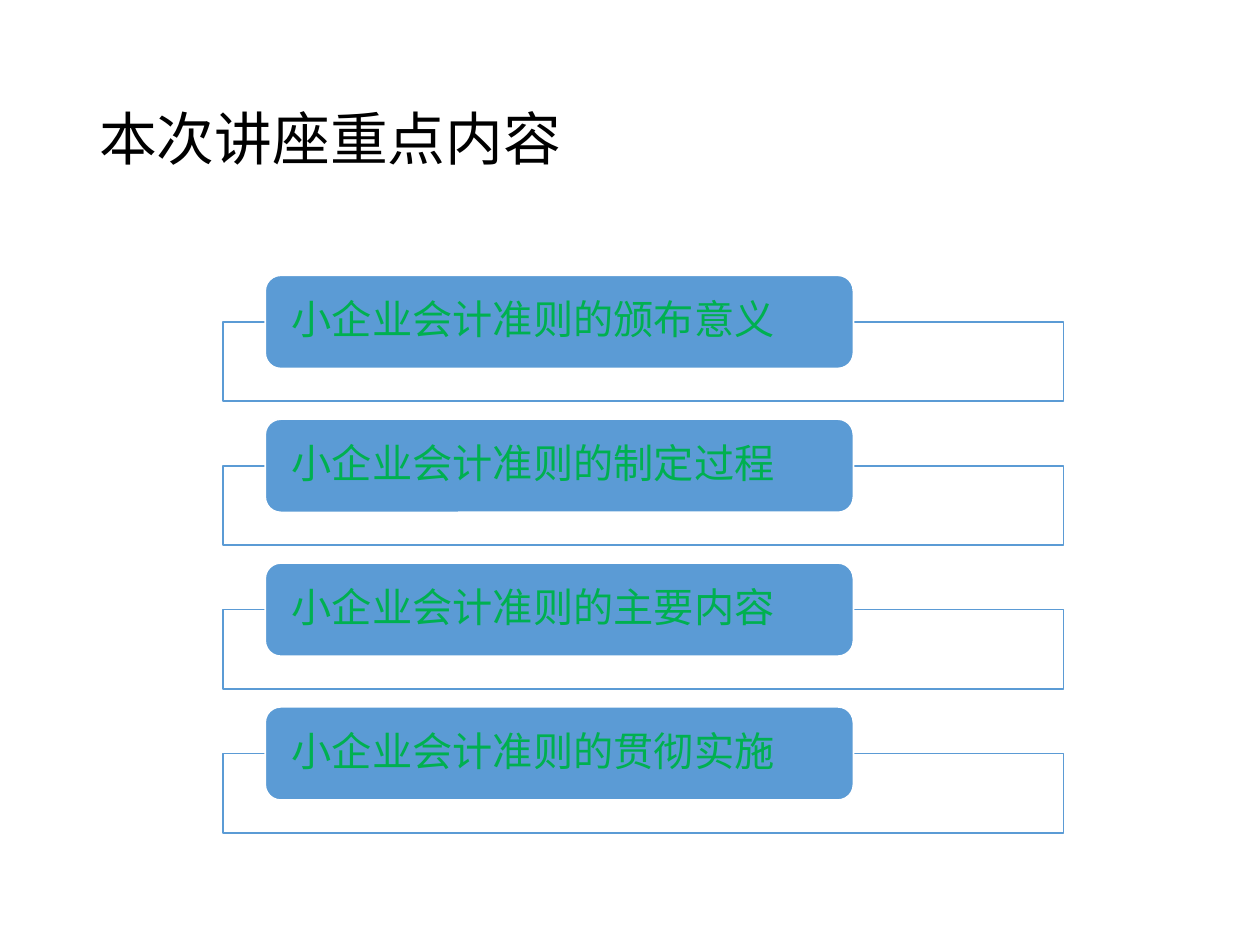
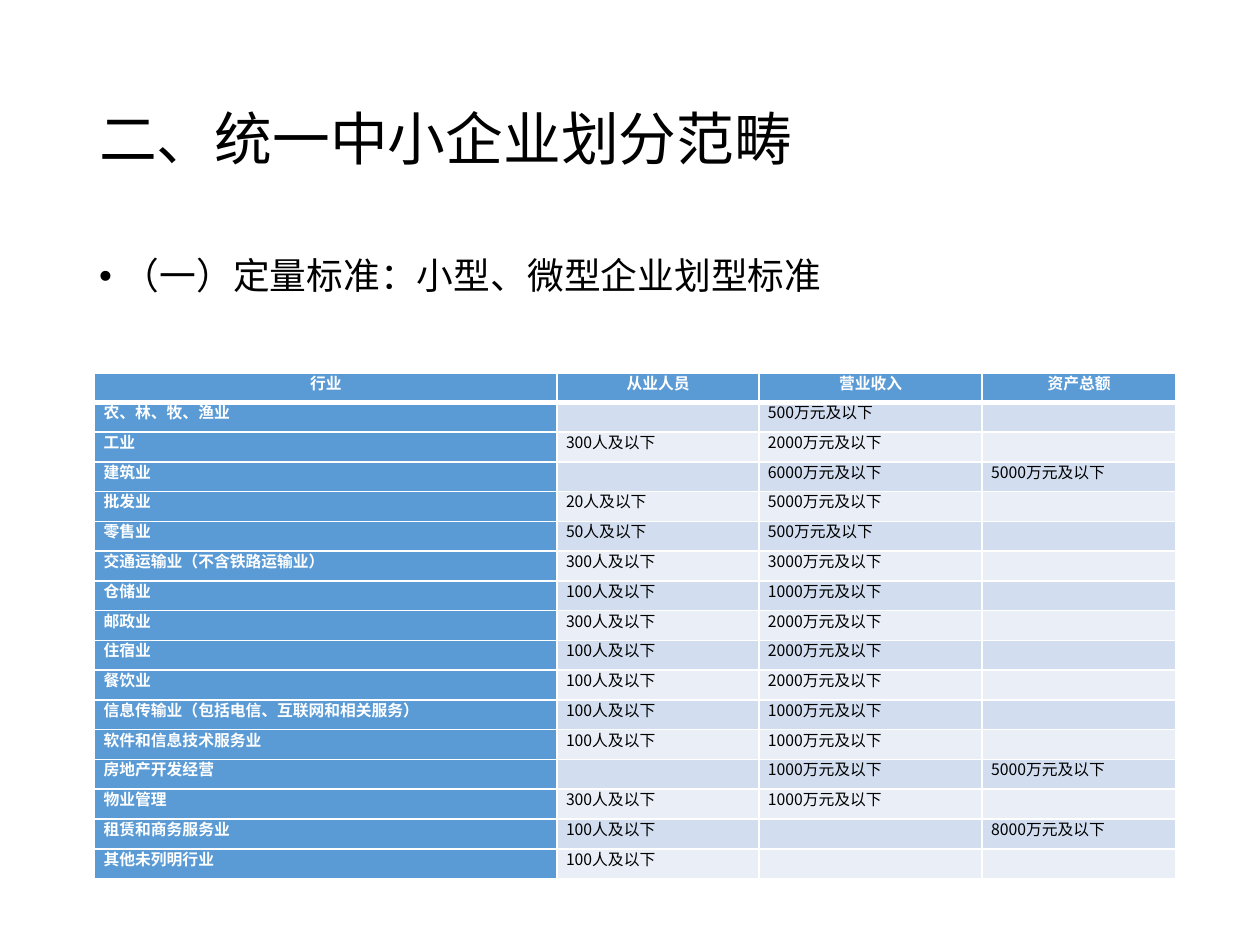
from lxml import etree
from pptx import Presentation
from pptx.dml.color import RGBColor
from pptx.enum.shapes import MSO_SHAPE
from pptx.enum.text import MSO_ANCHOR, PP_ALIGN
from pptx.oxml.ns import qn
from pptx.util import Cm, Pt

RECTANGLE = MSO_SHAPE.RECTANGLE
ROUNDED = MSO_SHAPE.ROUNDED_RECTANGLE
TOP, MIDDLE = MSO_ANCHOR.TOP, MSO_ANCHOR.MIDDLE
LEFT, CENTER = PP_ALIGN.LEFT, PP_ALIGN.CENTER

COLORS = {
    "text": "000000",
    "white": "FFFFFF",
    "blue": "5B9BD5",
    "green": "00B050",
    "band_dark": "D2DEEF",
    "band_light": "EAEFF7",
}
TITLE_FONT, BODY_FONT, CHINESE_FONT = "Calibri", "Cambria", "Noto Sans CJK SC"

# Boxes in cm: left, top, width, height
TITLE_BOX = (1.75, 1.02, 21.9, 3.68)
BODY_BOX = (1.75, 5.08, 21.9, 2.5)
TOPICS_BOX = (4.5, 5.55, 16.94, 11.24)
TABLE_BOX = (1.91, 7.52, 21.8, 10.2)

TOPICS = ["颁布意义", "制定过程", "主要内容", "贯彻实施"]

COLUMN_WIDTHS = [9.32, 4.07, 4.5, 3.91]
HEADER_HEIGHT = 0.59
HEADERS = ["行业", "从业人员", "营业收入", "资产总额"]
# Industry, employees (人), revenue (万元), assets (万元)
STANDARDS = [
    ("农、林、牧、渔业", None, 500, None),
    ("工业", 300, 2000, None),
    ("建筑业", None, 6000, 5000),
    ("批发业", 20, 5000, None),
    ("零售业", 50, 500, None),
    ("交通运输业（不含铁路运输业）", 300, 3000, None),
    ("仓储业", 100, 1000, None),
    ("邮政业", 300, 2000, None),
    ("住宿业", 100, 2000, None),
    ("餐饮业", 100, 2000, None),
    ("信息传输业（包括电信、互联网和相关服务）", 100, 1000, None),
    ("软件和信息技术服务业", 100, 1000, None),
    ("房地产开发经营", None, 1000, 5000),
    ("物业管理", 300, 1000, None),
    ("租赁和商务服务业", 100, None, 8000),
    ("其他未列明行业", 100, None, None),
]
UNITS = ["人", "万元", "万元"]


def rgb(name):
    return RGBColor.from_string(COLORS[name])


def write_text(frame, text, size, font=BODY_FONT, color="text", bold=False,
               align=LEFT, anchor=TOP, spacing=0.9):
    """Fill a text frame with one formatted paragraph and return it."""
    frame.word_wrap = True
    frame.vertical_anchor = anchor
    paragraph = frame.paragraphs[0]
    paragraph.alignment = align
    paragraph.line_spacing = spacing
    if text:
        run = paragraph.add_run()
        run.text = text
        run.font.size = Pt(size)
        run.font.name = font
        run.font.bold = bold
        run.font.color.rgb = rgb(color)
        properties = run._r.get_or_add_rPr()
        etree.SubElement(properties, qn("a:ea"), typeface=CHINESE_FONT)
    else:
        # An empty cell needs a small size too, or its row grows
        etree.SubElement(paragraph._p, qn("a:endParaRPr"), sz=str(size * 100))
    return paragraph


def add_box(slide, preset, box, fill, line):
    shape = slide.shapes.add_shape(preset, *map(Cm, box))
    shape.shadow.inherit = False
    shape.fill.solid()
    shape.fill.fore_color.rgb = rgb(fill)
    shape.line.color.rgb = rgb(line)
    shape.line.width = Pt(1)
    return shape


def add_title(slide, box, text):
    frame = slide.shapes.add_textbox(*map(Cm, box)).text_frame
    write_text(frame, text, 33, font=TITLE_FONT, anchor=MIDDLE)


def add_bullet(slide, box, text):
    frame = slide.shapes.add_textbox(*map(Cm, box)).text_frame
    paragraph = write_text(frame, text, 21)
    paragraph.space_before = Pt(7.5)
    properties = paragraph._p.get_or_add_pPr()
    properties.set("marL", str(Cm(0.48)))
    properties.set("indent", str(-Cm(0.48)))
    etree.SubElement(properties, qn("a:buFont"), typeface="Arial")
    etree.SubElement(properties, qn("a:buChar"), char="•")


def add_topics(slide, box, topics):
    """Stack framed rows, each with a label straddling its top edge."""
    left, top, width, height = box
    label_height, frame_height = 1.88, 1.6
    row_height = label_height / 2 + frame_height
    step = (height - row_height) / (len(topics) - 1)
    for index, topic in enumerate(topics):
        row_top = top + index * step
        # Frame
        frame_box = (left, row_top + label_height / 2, width, frame_height)
        frame = add_box(slide, RECTANGLE, frame_box, "white", "blue")
        fill_color = frame._element.spPr.find(qn("a:solidFill"))[0]
        etree.SubElement(fill_color, qn("a:alpha"), val="90000")
        # Label
        label_box = (left + width * 0.05, row_top, width * 0.7, label_height)
        label = add_box(slide, ROUNDED, label_box, "blue", "white")
        text_frame = label.text_frame
        text_frame.margin_left = text_frame.margin_right = Cm(0.44)
        text_frame.margin_top = text_frame.margin_bottom = 0
        write_text(text_frame, "小企业会计准则的" + topic, 23,
                   color="green", anchor=MIDDLE)


def set_borders(cell, top=1, bottom=1):
    """Draw white borders, which come before the fill in the cell."""
    properties = cell._tc.get_or_add_tcPr()
    widths = {"lnL": 1, "lnR": 1, "lnT": top, "lnB": bottom}
    for position, (side, width) in enumerate(widths.items()):
        line = etree.Element(qn("a:" + side), w=str(Pt(width)))
        fill = etree.SubElement(line, qn("a:solidFill"))
        etree.SubElement(fill, qn("a:srgbClr"), val=COLORS["white"])
        properties.insert(position, line)


def add_standards_table(slide, box):
    rows = [HEADERS]
    for industry, *limits in STANDARDS:
        rows.append([industry] + [f"{limit}{unit}及以下" if limit else ""
                                  for limit, unit in zip(limits, UNITS)])
    table = slide.shapes.add_table(len(rows), len(HEADERS),
                                   *map(Cm, box)).table
    for column, width in zip(table.columns, COLUMN_WIDTHS):
        column.width = Cm(width)
    row_height = (box[3] - HEADER_HEIGHT) / len(STANDARDS)
    for row_index, values in enumerate(rows):
        is_header = row_index == 0
        table.rows[row_index].height = Cm(
            HEADER_HEIGHT if is_header else row_height)
        band = "band_dark" if row_index % 2 else "band_light"
        for column_index, value in enumerate(values):
            strong = is_header or column_index == 0
            cell = table.cell(row_index, column_index)
            cell.margin_left = cell.margin_right = Cm(0.18)
            cell.margin_top = cell.margin_bottom = 0
            cell.fill.solid()
            cell.fill.fore_color.rgb = rgb("blue" if strong else band)
            set_borders(cell, top=3 if row_index == 1 else 1,
                        bottom=3 if is_header else 1)
            write_text(cell.text_frame, value, 9, font=CHINESE_FONT,
                       color="white" if strong else "text", bold=strong,
                       align=CENTER if is_header else LEFT, spacing=Pt(12))


def add_slide(presentation, title):
    slide = presentation.slides.add_slide(presentation.slide_layouts[6])
    add_title(slide, TITLE_BOX, title)
    return slide


def main():
    presentation = Presentation()
    presentation.slide_width = Cm(25.4)
    presentation.slide_height = Cm(19.05)

    # Topics of the lecture
    slide = add_slide(presentation, "本次讲座重点内容")
    add_topics(slide, TOPICS_BOX, TOPICS)

    # Size limits by industry
    slide = add_slide(presentation, "二、统一中小企业划分范畴")
    add_bullet(slide, BODY_BOX, "（一）定量标准：小型、微型企业划型标准")
    add_standards_table(slide, TABLE_BOX)

    presentation.save("out.pptx")


if __name__ == "__main__":
    main()
